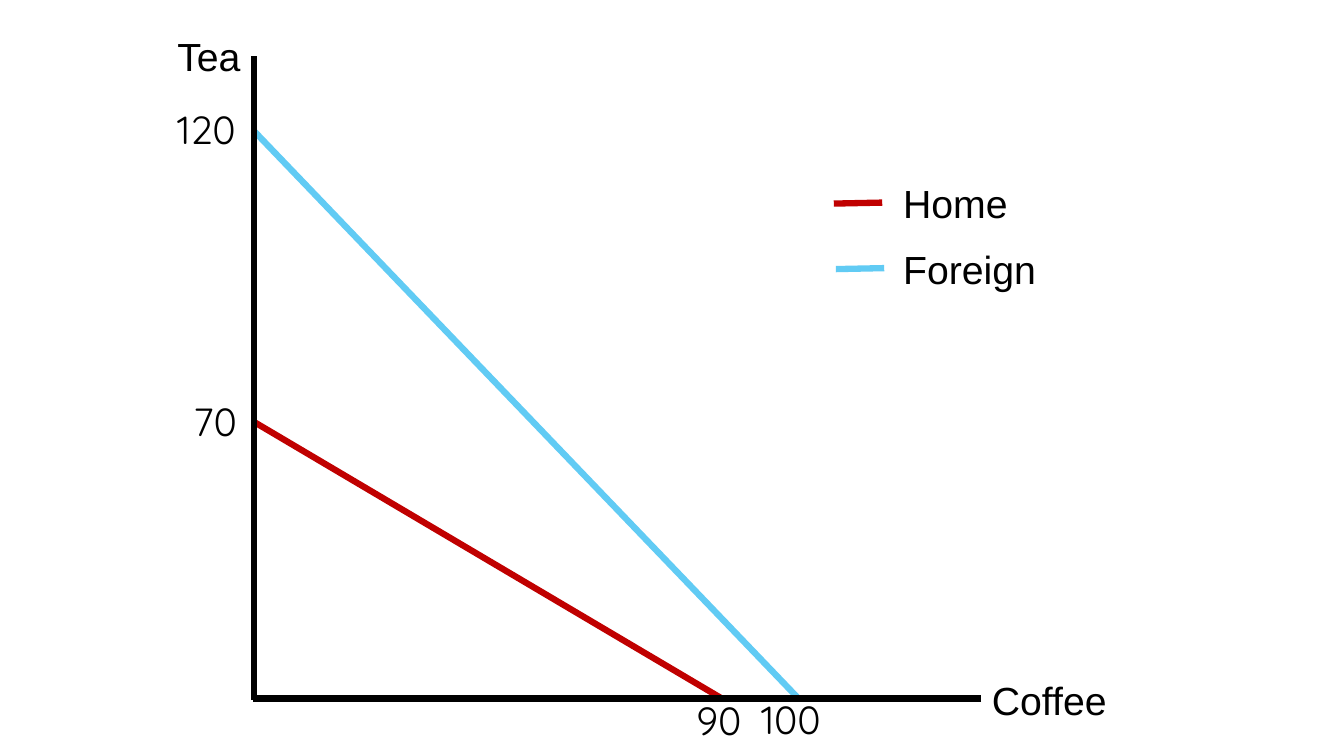
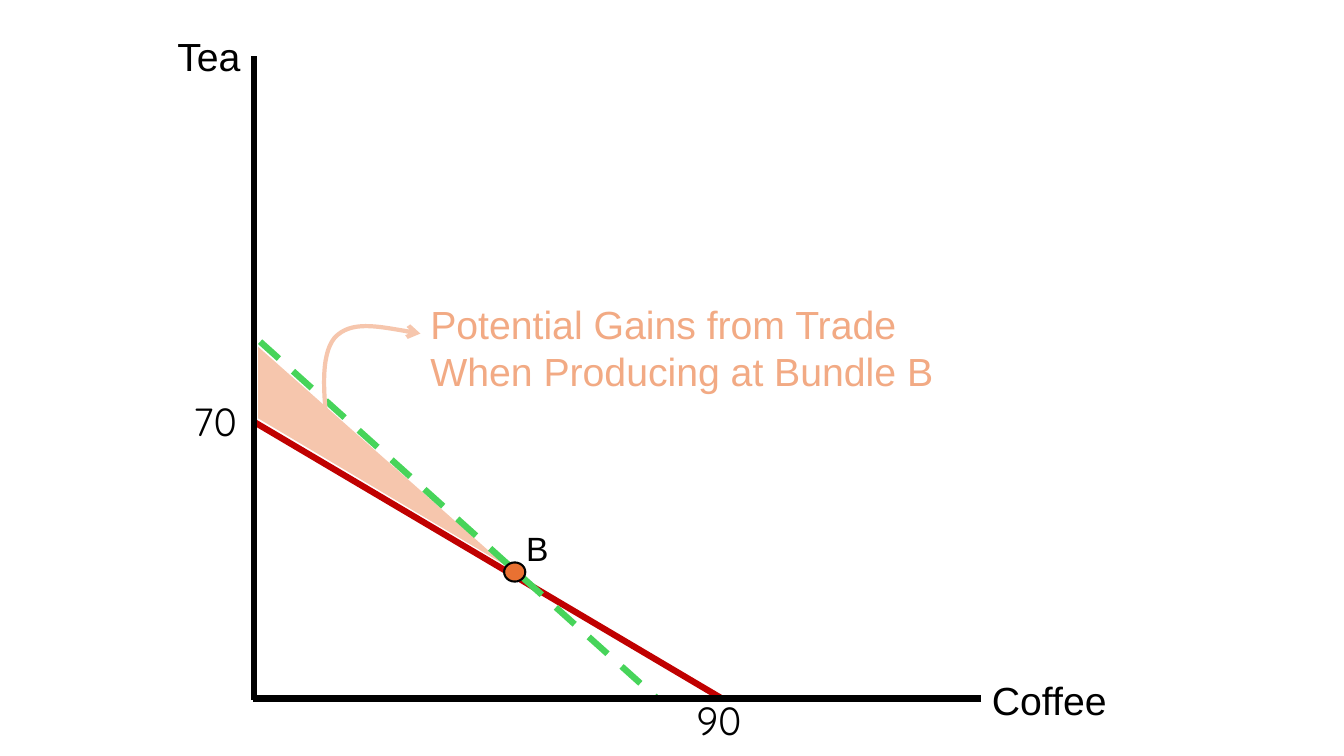
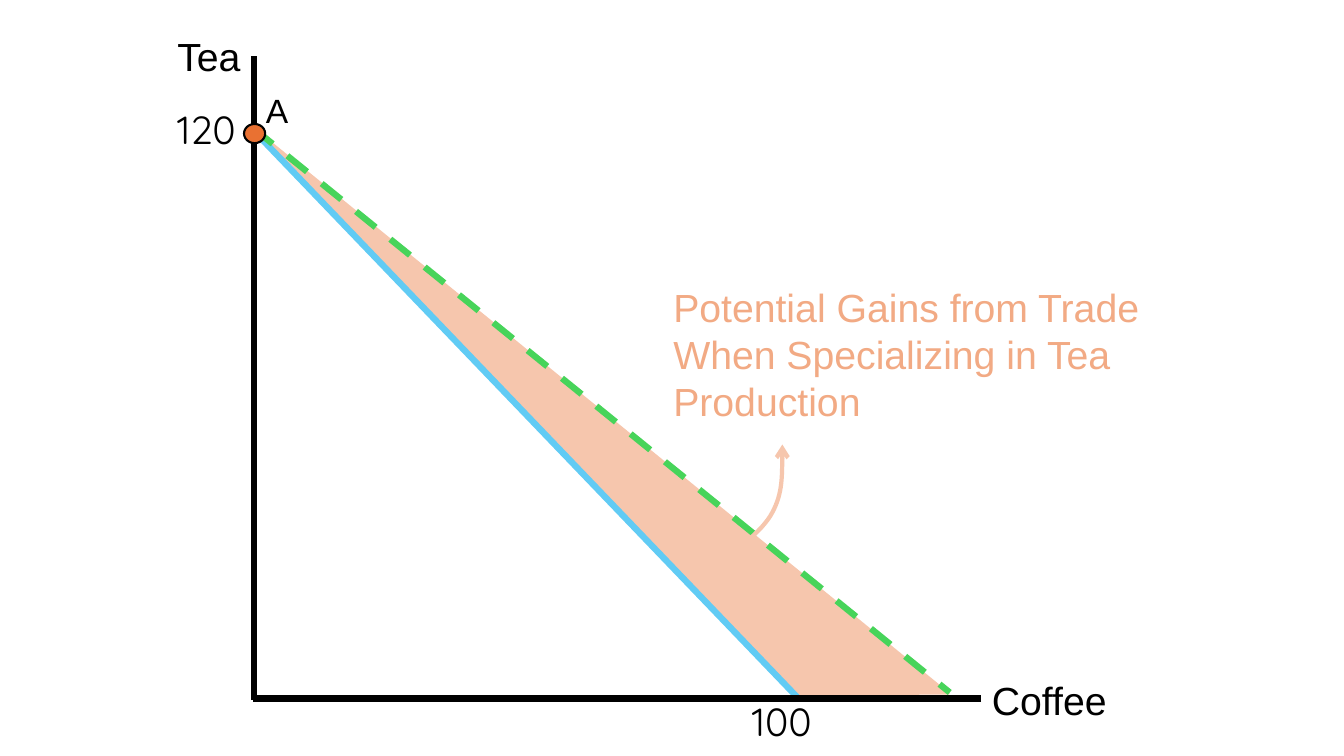
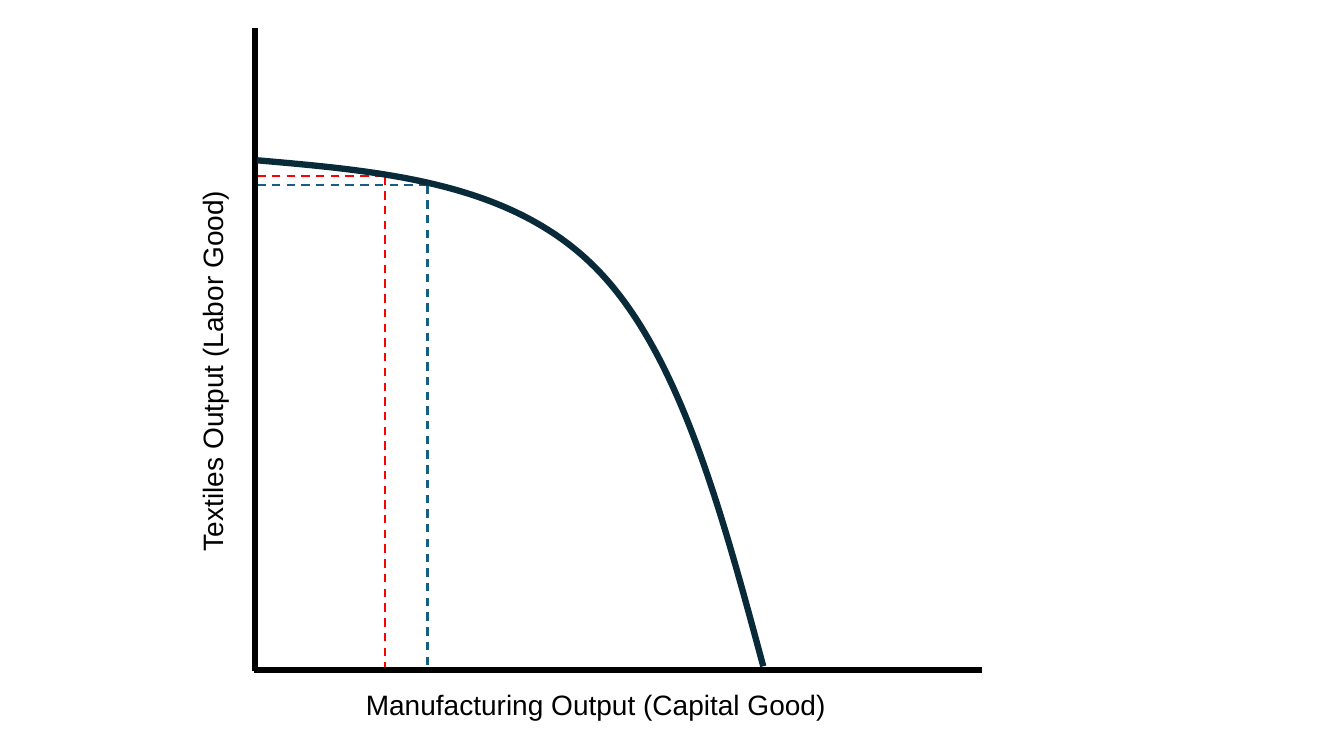
from dataclasses import dataclass, field
from lxml.etree import SubElement
from pptx import Presentation
from pptx.dml.color import RGBColor
from pptx.enum.dml import MSO_LINE_DASH_STYLE as Dash
from pptx.enum.shapes import MSO_CONNECTOR_TYPE as Link, MSO_SHAPE as Form
from pptx.enum.text import MSO_AUTO_SIZE as Auto
from pptx.oxml.ns import qn
from pptx.util import Pt

PX = 9144  # EMU in one px, 100 px to the inch


class Theme:
    ink = RGBColor.from_string("000000")
    home = RGBColor.from_string("C00000")
    away = RGBColor.from_string("61CBF4")
    trade = RGBColor.from_string("47D45A")
    gain = RGBColor.from_string("F6C6AD")
    note = RGBColor.from_string("F2AA84")
    dot = RGBColor.from_string("E97132")
    curve = RGBColor.from_string("092A39")
    blue = RGBColor.from_string("156082")
    red = RGBColor.from_string("FF0000")
    font, digits = "Arial", "Quicksand"
    big, mid, small = 28, 24, 20
    high = {28: 57, 24: 50, 20: 44}
    thick, arrow, thin = 4.5, 3, 1.5


@dataclass
class Page:
    lines: list
    labels: list
    origin: tuple = (252, 693)
    shade: list = field(default_factory=list)
    edge: bool = False
    curve: list = field(default_factory=list)
    pen: tuple = (Theme.gain, Theme.arrow)
    tip: bool = True
    dot: tuple = ()


def add_line(shapes, start, end, color, width=Theme.thick, dash=False):
    line = shapes.add_connector(Link.STRAIGHT, *(v * PX for v in start + end))
    line.line.color.rgb = color
    line.line.width = Pt(width)
    if dash:
        line.line.dash_style = Dash.DASH
    SubElement(line.element.spPr, qn("a:effectLst"))


def add_label(shapes, text, x, y, width, size=Theme.big, color=Theme.ink,
              rows=1, turn=0):
    high = Theme.high[size] + 47 * (rows - 1)
    box = shapes.add_textbox(x * PX, y * PX, width * PX, high * PX)
    box.rotation = turn
    frame = box.text_frame
    frame.text = text
    frame.word_wrap = True
    frame.auto_size = Auto.SHAPE_TO_FIT_TEXT
    font = frame.paragraphs[0].runs[0].font
    font.name = Theme.digits if text.isdigit() else Theme.font
    font.size = Pt(size)
    font.color.rgb = color


home = ((251, 418), (716, 693), Theme.home)
away = ((251, 129), (792, 693), Theme.away)
names = [("Tea", 166, 27, 92), ("Coffee", 974, 666, 153)]
home_ends = [("70", 182, 389, 76), ("90", 681, 686, 76)]
away_top = ("120", 166, 100, 117)

guides = []
for x, y, foot, color in [(424, 184, 661, Theme.blue),
                          (382, 175, 665, Theme.red)]:
    guides += [((255, y), (x, y), color, Theme.thin, True),
               ((x, y), (x, foot), color, Theme.thin, True)]

pages = [
    Page(
        lines=[home, away,
               ((827, 202), (875, 201), Theme.home),
               ((829, 267), (877, 266), Theme.away)],
        labels=names + home_ends + [
            away_top, ("100", 745, 685, 111),
            ("Home", 886, 173, 153), ("Foreign", 886, 238, 182)],
    ),
    Page(
        lines=[home, ((258, 339), (652, 693), Theme.trade, Theme.thick, True)],
        labels=names + home_ends + [
            ("Potential Gains from Trade When Producing at Bundle B",
             417, 293, 553, Theme.big, Theme.note, 2),
            ("B", 512, 519, 34, Theme.mid)],
        shade=[(256, 344), (256, 415), (500, 560)],
        curve=[(326, 435), (321, 394), (317, 353), (332, 335),
               (348, 318), (382, 325), (417, 331)],
        dot=(500, 558),
    ),
    Page(
        lines=[away, ((251, 127), (942, 687), Theme.trade, Theme.thick, True)],
        labels=names + [
            away_top, ("100", 736, 687, 111),
            ("Potential Gains from Trade When Specializing in Tea Production",
             658, 276, 553, Theme.big, Theme.note, 3),
            ("A", 254, 84, 34, Theme.mid)],
        shade=[(251, 127), (792, 689), (941, 688)],
        edge=True,
        curve=[(703, 563), (727, 548), (751, 532), (764, 512),
               (776, 492), (776, 466), (776, 441)],
        dot=(242, 123),
    ),
    Page(
        lines=guides,
        labels=[
            ("Manufacturing Output (Capital Good)", 353, 677, 520, Theme.small),
            ("Textiles Output (Labor Good)", 1, 325, 419, Theme.small,
             Theme.ink, 1, 270)],
        origin=(253, 665),
        curve=[(255, 159), (381, 170), (506, 181), (590, 265),
               (673, 348), (715, 505), (757, 661)],
        pen=(Theme.curve, Theme.thick),
        tip=False,
    ),
]

deck = Presentation()
deck.slide_width, deck.slide_height = 1333 * PX, 750 * PX

for page in pages:
    shapes = deck.slides.add_slide(deck.slide_layouts[6]).shapes

    if page.shade:
        pen = shapes.build_freeform(*page.shade[0], scale=PX)
        pen.add_line_segments(page.shade[1:], close=True)
        area = pen.convert_to_shape()
        area.shadow.inherit = False
        area.fill.solid()
        area.fill.fore_color.rgb = Theme.gain
        if page.edge:
            area.line.color.rgb = Theme.gain
            area.line.width = Pt(Theme.thin)
        else:
            area.line.fill.background()

    # The arrow lies under the lines; the frontier lies over the axes.
    for line in page.lines:
        add_line(shapes, *line)

    x, y = page.origin
    axes = shapes.add_group_shape().shapes
    add_line(axes, (x, y - 637), (x, y + 1), Theme.ink)
    add_line(axes, (x + 721, y), (x - 1, y), Theme.ink)

    if page.curve:
        pen = shapes.build_freeform(*page.curve[0], scale=PX)
        pen.add_line_segments(page.curve[1:], close=False)
        curve = pen.convert_to_shape()
        curve.shadow.inherit = False
        curve.fill.background()
        curve.line.color.rgb = page.pen[0]
        curve.line.width = Pt(page.pen[1])
        # Each three straight steps become one cubic segment.
        steps = list(curve.element.iter(qn("a:lnTo")))
        for i in range(0, len(steps), 3):
            first, *rest = steps[i:i + 3]
            first.tag = qn("a:cubicBezTo")
            for step in rest:
                first.append(step[0])
                step.getparent().remove(step)
        if page.tip:
            edge = curve.element.spPr.find(qn("a:ln"))
            SubElement(edge, qn("a:tailEnd"), type="arrow")

    if page.dot:
        x, y = page.dot
        dot = shapes.add_shape(Form.OVAL, x * PX, y * PX, 21 * PX, 19 * PX)
        dot.shadow.inherit = False
        dot.fill.solid()
        dot.fill.fore_color.rgb = Theme.dot
        dot.line.color.rgb = Theme.ink
        dot.line.width = Pt(Theme.thin)

    for label in page.labels:
        add_label(shapes, *label)

deck.save("out.pptx")
